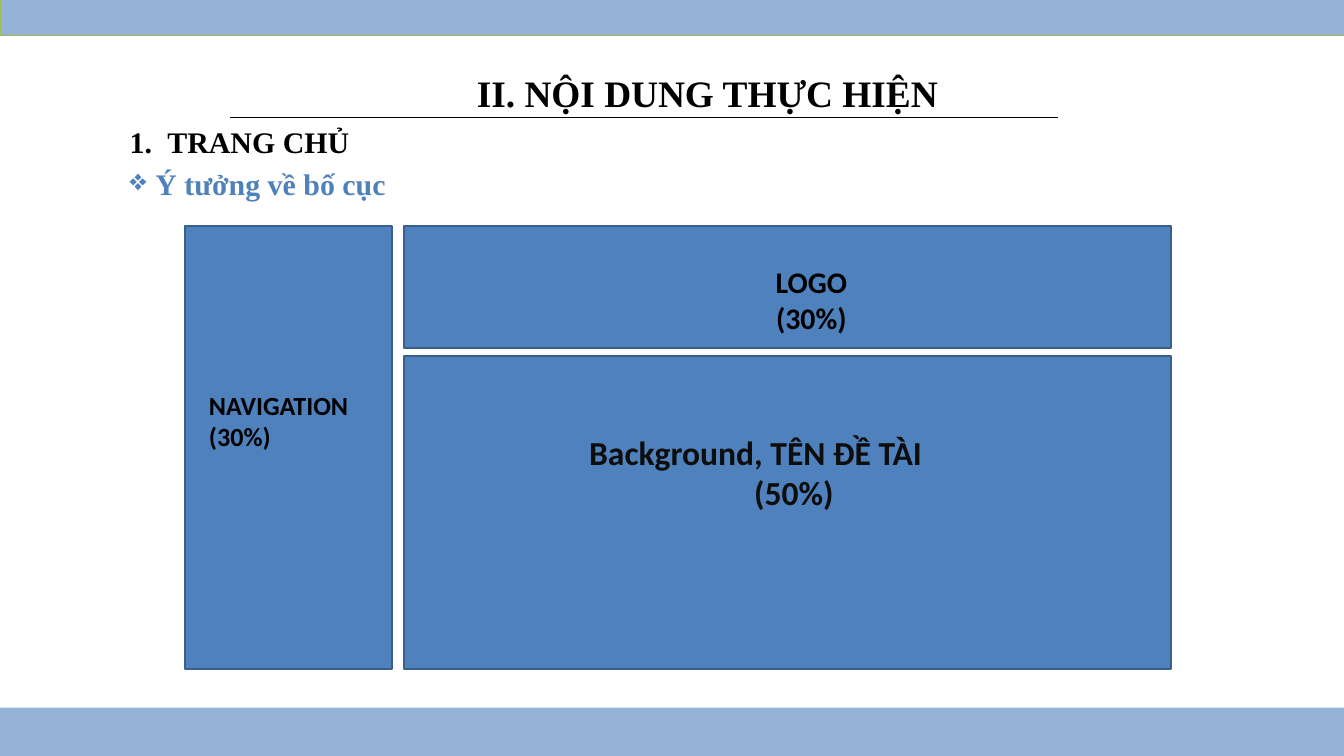
import pptx
import pptx.dml.color
import pptx.enum.shapes
import pptx.enum.text
import pptx.util
from lxml import etree
from pptx.oxml.ns import qn

Cm = pptx.util.Cm
Pt = pptx.util.Pt
RGBColor = pptx.dml.color.RGBColor
ALIGN = pptx.enum.text.PP_ALIGN
SHAPE = pptx.enum.shapes.MSO_SHAPE

BLACK = RGBColor(0x00, 0x00, 0x00)
INK = RGBColor(0x0D, 0x0D, 0x0D)
BLUE = RGBColor(0x4F, 0x81, 0xBD)
NAVY = RGBColor(0x3A, 0x5F, 0x8C)
PALE = RGBColor(0x95, 0xB3, 0xD7)
GREEN = RGBColor(0x9B, 0xBB, 0x59)

SERIF = "Times New Roman"
SANS = "Calibri"
WIDTH, HEIGHT = 50.8, 28.58
BAND = 1.83


def apply(obj, values):
    """Set every attribute named in a dict of format values."""
    for name, value in values.items():
        setattr(obj, name, value)


def add_rect(s, box, fill, line=None, width=0.75):
    """Draw a flat rectangle with an optional outline."""
    sp = s.shapes.add_shape(SHAPE.RECTANGLE, *map(Cm, box))
    sp.shadow.inherit = False
    sp.fill.solid()
    sp.fill.fore_color.rgb = fill
    if line is None:
        sp.line.fill.background()
    else:
        sp.line.color.rgb = line
        sp.line.width = Pt(width)
    return sp


def add_text(s, box, lines, color=BLACK, frame=None, **font):
    """Write (text, alignment) lines in one bold style and return the frame."""
    tf = s.shapes.add_textbox(*map(Cm, box)).text_frame
    apply(tf, {"word_wrap": True, **(frame or {})})
    for i, (text, align) in enumerate(lines):
        p = tf.paragraphs[0] if i == 0 else tf.add_paragraph()
        p.alignment = align
        r = p.add_run()
        r.text = text
        apply(r.font, {"bold": True, **font})
        r.font.color.rgb = color
    return tf


def add_bullet(p, indent, tag, **attrs):
    """Give a paragraph a hanging bullet or number."""
    pPr = p._p.get_or_add_pPr()
    pPr.set("marL", str(Cm(indent)))
    pPr.set("indent", str(-Cm(indent)))
    etree.SubElement(pPr, qn(tag), attrs)


def add_title(s, box):
    """Place the section title and the rule under it."""
    x, y, w, h = box
    margins = dict.fromkeys(("margin_left", "margin_top", "margin_right", "margin_bottom"), 0)
    add_text(s, box, [("II. NỘI DUNG THỰC HIỆN", ALIGN.CENTER)],
             frame=margins, name=SERIF, size=Pt(40))
    ends = (x + 1.7, y + h + 0.11, x + 33, y + h + 0.11)
    rule = s.shapes.add_connector(pptx.enum.shapes.MSO_CONNECTOR.STRAIGHT, *map(Cm, ends))
    rule.line.color.rgb = BLACK
    rule.line.width = Pt(0.75)
    etree.SubElement(rule._element.spPr, qn("a:effectLst"))


def add_heading(s, box):
    """Place the numbered heading and its bulleted subheading."""
    tf = add_text(s, box, [("TRANG CHỦ", None), ("Ý tưởng về bố cục", None)],
                  name=SERIF, size=Pt(32))
    first, second = tf.paragraphs
    add_bullet(first, 1.43, "a:buAutoNum", type="arabicPeriod")
    add_bullet(second, 0.97, "a:buChar", char="❖")
    second.space_before = Pt(6.4)
    second.runs[0].font.color.rgb = BLUE


def add_wireframe(s, box):
    """Place the page layout: navigation beside logo and background."""
    x, y, w, h = box
    nav_w, logo_h = 7.82, 4.6
    col_x, main_y = x + nav_w + 0.44, y + logo_h + 0.3
    col_w = x + w - col_x
    panels = [
        ((x, y, nav_w, h), (0.64, 6.02, 7.62, 2.64),
         [("NAVIGATION (30%)", None)], 28, BLACK),
        ((col_x, y, col_w, logo_h), (12.01, 1.27, 6.78, 3),
         [("LOGO", ALIGN.CENTER), ("(30%)", ALIGN.CENTER)], 32, BLACK),
        ((col_x, main_y, col_w, y + h - main_y), (6.75, 2.75, 15.98, 3.33),
         [("Background, TÊN ĐỀ TÀI", None), ("(50%)", ALIGN.CENTER)], 36, INK),
    ]
    for panel, (dx, dy, tw, th), lines, size, color in panels:
        add_rect(s, panel, BLUE, NAVY, 2)
        add_text(s, (panel[0] + dx, panel[1] + dy, tw, th), lines, color,
                 name=SANS, size=Pt(size))


def main():
    """Build the slide and save it."""
    prs = pptx.Presentation()
    apply(prs, {"slide_width": Cm(WIDTH), "slide_height": Cm(HEIGHT)})
    s = prs.slides.add_slide(prs.slide_layouts[6])
    add_rect(s, (0, HEIGHT - BAND, WIDTH, BAND), PALE)
    add_rect(s, (0, -0.51, WIDTH, BAND), PALE, GREEN)
    add_title(s, (6.99, 2.64, 39.5, 1.7))
    add_heading(s, (4.65, 4.55, 22.86, 4.67))
    add_wireframe(s, (7.01, 8.56, 37.24, 16.74))
    prs.save("out.pptx")


if __name__ == "__main__":
    main()
